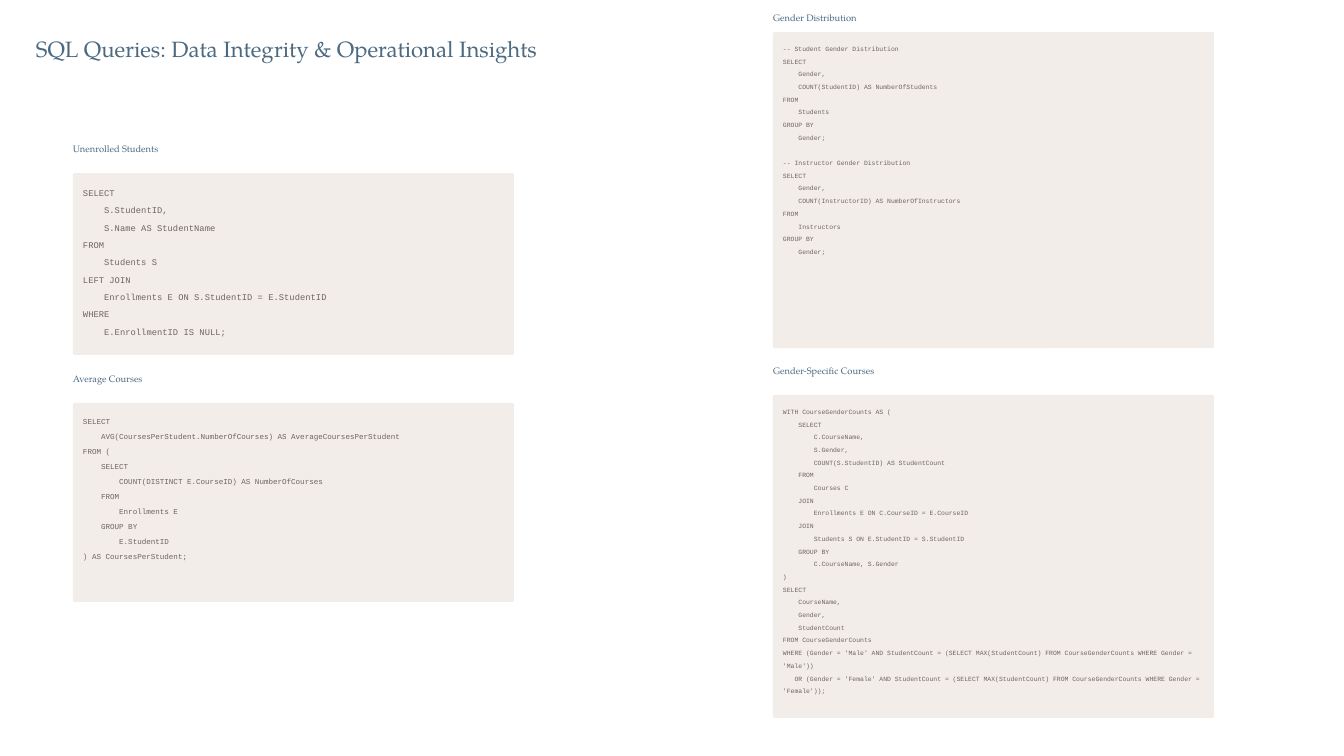
from pptx import Presentation
from pptx.dml.color import RGBColor
from pptx.enum.shapes import MSO_SHAPE
from pptx.util import Pt

PX = 914400 // 84
SLATE = RGBColor(0x4B, 0x69, 0x81)
SAND = RGBColor(0xF2, 0xED, 0xE9)
BROWN = RGBColor(0x6F, 0x65, 0x5D)
SERIF, MONO = "TeX Gyre Pagella", "Courier New"
LEFT, RIGHT = 73, 773
PANEL_WIDTH, PAD_X, PAD_Y, CORNER = 441, 10, 8, 2
CODE_LINE_SPACING = 1.65
BLANK_LINE = Pt(10.8)

UNENROLLED = """\
SELECT
    S.StudentID,
    S.Name AS StudentName
FROM
    Students S
LEFT JOIN
    Enrollments E ON S.StudentID = E.StudentID
WHERE
    E.EnrollmentID IS NULL;"""

AVERAGE = """\
SELECT
    AVG(CoursesPerStudent.NumberOfCourses) AS AverageCoursesPerStudent
FROM (
    SELECT
        COUNT(DISTINCT E.CourseID) AS NumberOfCourses
    FROM
        Enrollments E
    GROUP BY
        E.StudentID
) AS CoursesPerStudent;"""

DISTRIBUTION = """\
-- Student Gender Distribution
SELECT
    Gender,
    COUNT(StudentID) AS NumberOfStudents
FROM
    Students
GROUP BY
    Gender;

-- Instructor Gender Distribution
SELECT
    Gender,
    COUNT(InstructorID) AS NumberOfInstructors
FROM
    Instructors
GROUP BY
    Gender;"""

GENDER_COURSES = """\
WITH CourseGenderCounts AS (
    SELECT
        C.CourseName,
        S.Gender,
        COUNT(S.StudentID) AS StudentCount
    FROM
        Courses C
    JOIN
        Enrollments E ON C.CourseID = E.CourseID
    JOIN
        Students S ON E.StudentID = S.StudentID
    GROUP BY
        C.CourseName, S.Gender
)
SELECT
    CourseName,
    Gender,
    StudentCount
FROM CourseGenderCounts
WHERE (Gender = 'Male' AND StudentCount = (SELECT MAX(StudentCount) FROM CourseGenderCounts WHERE Gender = 'Male'))
   OR (Gender = 'Female' AND StudentCount = (SELECT MAX(StudentCount) FROM CourseGenderCounts WHERE Gender = 'Female'));"""

# heading, left, heading top, panel top, panel height, code size, code
QUERIES = [
    ("Unenrolled Students", LEFT, 141, 173, 182, 7.5, UNENROLLED),
    ("Average Courses", LEFT, 371, 403, 199, 6.5, AVERAGE),
    ("Gender Distribution", RIGHT, 10, 32, 316, 5.5, DISTRIBUTION),
    ("Gender-Specific Courses", RIGHT, 363, 395, 323, 5.5, GENDER_COURSES),
]

prs = Presentation()
prs.slide_width, prs.slide_height = 1344 * PX, 756 * PX
slide = prs.slides.add_slide(prs.slide_layouts[6])


def add_text(text, left, top, width, height, font, size, color, spacing):
    """Add a box with one paragraph per line; an empty line becomes space before the next."""
    box = slide.shapes.add_textbox(left * PX, top * PX, width * PX, height * PX)
    frame = box.text_frame
    frame.word_wrap = True
    for side in ("left", "top", "right", "bottom"):
        setattr(frame, f"margin_{side}", 0)
    after_blank = False
    for number, line in enumerate(text.split("\n")):
        if not line:
            after_blank = True
            continue
        paragraph = frame.add_paragraph() if number else frame.paragraphs[0]
        paragraph.line_spacing = spacing
        if after_blank:
            paragraph.space_before = BLANK_LINE
            after_blank = False
        run = paragraph.add_run()
        run.text = line
        run.font.name = font
        run.font.size = Pt(size)
        run.font.color.rgb = color


add_text("SQL Queries: Data Integrity & Operational Insights",
         36, 29, 609, 33, SERIF, 19, SLATE, 1.25)

for heading, left, heading_top, top, height, size, code in QUERIES:
    add_text(heading, left, heading_top, 149, 16, SERIF, 8, SLATE, 1.23)
    panel = slide.shapes.add_shape(MSO_SHAPE.ROUNDED_RECTANGLE,
                                   left * PX, top * PX, PANEL_WIDTH * PX, height * PX)
    panel.adjustments[0] = CORNER / height
    panel.fill.solid()
    panel.fill.fore_color.rgb = SAND
    panel.line.fill.background()
    panel.shadow.inherit = False
    add_text(code, left + PAD_X, top + PAD_Y, PANEL_WIDTH - PAD_X, height - 2 * PAD_Y,
             MONO, size, BROWN, CODE_LINE_SPACING)

prs.save("out.pptx")
